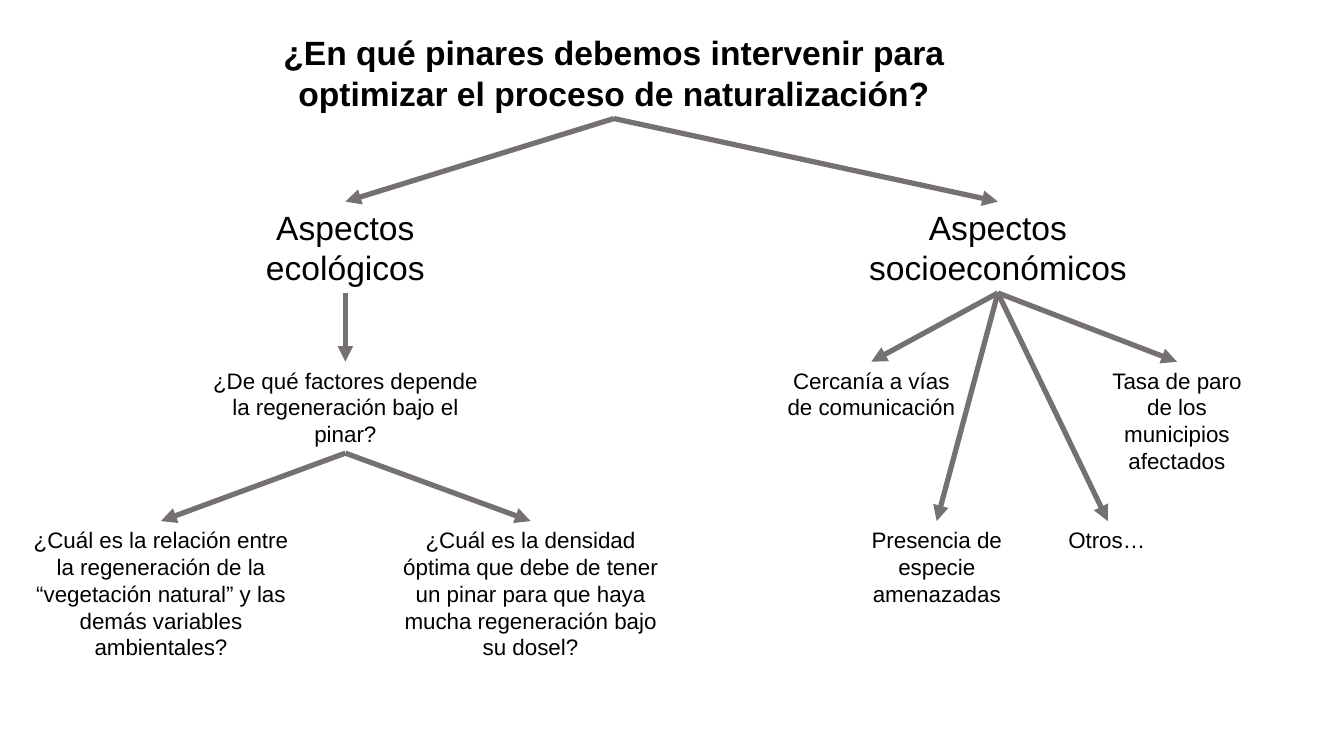
from lxml import etree
from pptx import Presentation
from pptx.dml.color import RGBColor
from pptx.enum import shapes, text
from pptx.oxml import ns
from pptx.util import Pt

FONT, INK, ARROW = "Arial", "000000", "767171"
BOTTOM, TOP = 2, 0
LEVEL_TOPS = [19.4, 144, 258.4, 372.2]
LINE_HEIGHT, PADDING = 1.21, 7.2

# name: (wording, parent, level, centre, width, size, lines)
QUESTIONS = {
    "intervenir": ("¿En qué pinares debemos intervenir para optimizar el proceso de naturalización?",
                   None, 0, 438.5, 574.6, 24, 2),
    "ecológicos": ("Aspectos ecológicos", "intervenir", 1, 246.7, 203.8, 24, 2),
    "socioeconómicos": ("Aspectos socioeconómicos", "intervenir", 1, 712.8, 217.4, 24, 2),
    "factores": ("¿De qué factores depende la regeneración bajo el pinar?",
                 "ecológicos", 2, 246.7, 203.8, 16, 3),
    "relación": ("¿Cuál es la relación entre la regeneración de la “vegetación natural” "
                 "y las demás variables ambientales?", "factores", 3, 115, 203.8, 16, 5),
    "densidad": ("¿Cuál es la densidad óptima que debe de tener un pinar para que haya "
                 "mucha regeneración bajo su dosel?", "factores", 3, 379, 203.8, 16, 5),
    "cercanía": ("Cercanía a vías de comunicación", "socioeconómicos", 2, 622.4, 140.4, 16, 2),
    "paro": ("Tasa de paro de los municipios afectados", "socioeconómicos", 2, 840.7, 124.6, 16, 4),
    "especies": ("Presencia de especie amenazadas", "socioeconómicos", 3, 669.1, 140.4, 16, 3),
    "otros": ("Otros…", "socioeconómicos", 3, 791.3, 70.6, 16, 1),
}


def colour(code):
    return RGBColor.from_string(code)


def add_question(slide, wording, level, centre, width, size, lines):
    height = lines * size * LINE_HEIGHT + PADDING
    box = slide.shapes.add_textbox(
        Pt(centre - width / 2), Pt(LEVEL_TOPS[level]), Pt(width), Pt(height))
    frame = box.text_frame
    frame.word_wrap = lines > 1
    frame.auto_size = text.MSO_AUTO_SIZE.SHAPE_TO_FIT_TEXT
    paragraph = frame.paragraphs[0]
    paragraph.text = wording
    paragraph.alignment = text.PP_ALIGN.CENTER if lines > 1 else text.PP_ALIGN.LEFT
    font = paragraph.font
    font.name, font.size, font.bold = FONT, Pt(size), level == 0
    font.color.rgb = colour(INK)
    return box


def add_arrow(slide, parent, child):
    arrow = slide.shapes.add_connector(shapes.MSO_CONNECTOR.STRAIGHT, 0, 0, 0, 0)
    arrow.begin_connect(parent, BOTTOM)
    arrow.end_connect(child, TOP)
    arrow.line.width = Pt(3.75)
    arrow.line.color.rgb = colour(ARROW)
    etree.SubElement(arrow.line._get_or_add_ln(), ns.qn("a:tailEnd"), type="triangle")
    etree.SubElement(arrow._element.spPr, ns.qn("a:effectLst"))


def main():
    presentation = Presentation()
    presentation.slide_width, presentation.slide_height = Pt(960), Pt(540)
    slide = presentation.slides.add_slide(presentation.slide_layouts[6])
    boxes = {}
    for name, (wording, parent, *place) in QUESTIONS.items():
        boxes[name] = add_question(slide, wording, *place)
        if parent:
            add_arrow(slide, boxes[parent], boxes[name])
    presentation.save("out.pptx")


if __name__ == "__main__":
    main()
